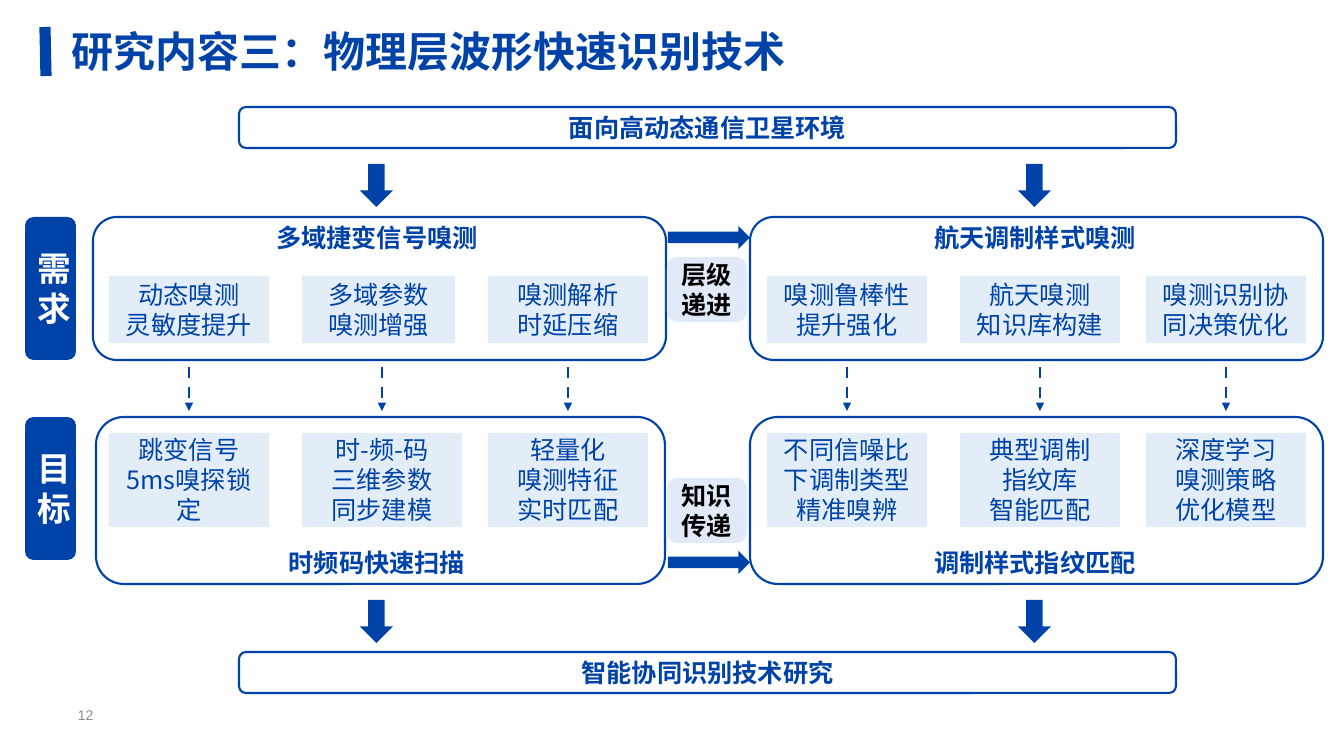
import pptx
import pptx.dml.color
import pptx.enum.dml
import pptx.enum.shapes
import pptx.enum.text
import pptx.oxml
import pptx.util
from dataclasses import dataclass
from lxml import etree

SHAPES = pptx.enum.shapes.MSO_SHAPE
ALIGN = pptx.enum.text.PP_ALIGN
DRAWING = "{http://schemas.openxmlformats.org/drawingml/2006/main}"
EMU_PER_PX = 914400 / 100.8


@dataclass(frozen=True)
class Theme:
    blue: str = "0043A8"
    card: str = "E2EDF7"
    tag: str = "E1EAF9"
    black: str = "000000"
    white: str = "FFFFFF"
    grey: str = "8C8C8C"
    cjk: str = "Noto Sans CJK SC"
    latin: str = "Arial"
    title: int = 30
    label: int = 24
    body: int = 18
    number: int = 10
    line_ratio: float = 1.19


THEME = Theme()

# The right half repeats the left half, moved by SIDE_STEP
SIDE_STEP = 658
CARD_LEFTS = (109, 302, 488)
CARD_WIDTH = 160

# Each row: label, its top, panel top and height, heading top, card top and height
ROWS = (
    ("需求", 217, 143, 217, 276, 67),
    ("目标", 417, 167, 542, 433, 94),
)
# Each panel: left, width, heading, card texts, card widths
PANELS = (
    (
        (93, 573, "多域捷变信号嗅测",
         ("动态嗅测\n灵敏度提升", "多域参数\n嗅测增强", "嗅测解析\n时延压缩"),
         (CARD_WIDTH, 153, CARD_WIDTH)),
        (750, 573, "航天调制样式嗅测",
         ("嗅测鲁棒性提升强化", "航天嗅测\n知识库构建", "嗅测识别协同决策优化"),
         (CARD_WIDTH,) * 3),
    ),
    (
        (96, 569, "时频码快速扫描",
         ("跳变信号5ms嗅探锁定", "时-频-码\n三维参数\n同步建模", "轻量化\n嗅测特征\n实时匹配"),
         (CARD_WIDTH,) * 3),
        (750, 573, "调制样式指纹匹配",
         ("不同信噪比\n下调制类型\n精准嗅辨", "典型调制\n指纹库\n智能匹配", "深度学习\n嗅测策略\n优化模型"),
         (CARD_WIDTH,) * 3),
    ),
)


def px(length):
    return pptx.util.Emu(round(length * EMU_PER_PX))


def color(value):
    return pptx.dml.color.RGBColor.from_string(value)


def write(shape, text, size, ink, bold=False, font=THEME.cjk, align=ALIGN.CENTER, tight=False):
    """Fill a shape with text; tight sets an exact line height for wrapped text."""
    frame = shape.text_frame
    frame.word_wrap = True
    frame.auto_size = pptx.enum.text.MSO_AUTO_SIZE.NONE
    frame.vertical_anchor = pptx.enum.text.MSO_ANCHOR.MIDDLE
    for index, line in enumerate(text.split("\n")):
        paragraph = frame.add_paragraph() if index else frame.paragraphs[0]
        paragraph.alignment = align
        if tight:
            paragraph.line_spacing = pptx.util.Pt(size * THEME.line_ratio)
        run = paragraph.add_run()
        run.text = line
        run.font.size = pptx.util.Pt(size)
        run.font.bold = bold
        run.font.color.rgb = color(ink)
        run.font.name = font
        east_asian = etree.Element(DRAWING + "ea", typeface=THEME.cjk)
        run.font._element.find(DRAWING + "latin").addnext(east_asian)


def add_box(slide, kind, left, top, width, height, fill=None, outline=None):
    shape = slide.shapes.add_shape(kind, px(left), px(top), px(width), px(height))
    shape.shadow.inherit = False
    if fill:
        shape.fill.solid()
        shape.fill.fore_color.rgb = color(fill)
    else:
        shape.fill.background()
    if outline:
        shape.line.color.rgb = color(outline)
        shape.line.width = pptx.util.Pt(1.5)
    else:
        shape.line.fill.background()
    return shape


def add_text(slide, left, top, width, height, text, size, ink, **style):
    box = slide.shapes.add_textbox(px(left), px(top), px(width), px(height))
    write(box, text, size, ink, **style)


def add_line(slide, start, end, width, dashed_arrow=False):
    line = slide.shapes.add_connector(
        pptx.enum.shapes.MSO_CONNECTOR.STRAIGHT, *map(px, start + end))
    line.line.color.rgb = color(THEME.blue)
    line.line.width = pptx.util.Pt(width)
    if dashed_arrow:
        line.line.dash_style = pptx.enum.dml.MSO_LINE.DASH
        outline = line.line._get_or_add_ln()
        etree.SubElement(outline, DRAWING + "tailEnd", type="triangle")
    etree.SubElement(line._element.spPr, DRAWING + "effectLst")


def add_title(slide, text):
    title = slide.shapes.title
    title.left, title.top, title.width, title.height = map(px, (72, 9, 793, 84))
    frame = title.text_frame
    frame.margin_left = frame.margin_right = frame.margin_top = frame.margin_bottom = 0
    write(title, text, THEME.title, THEME.blue, bold=True, align=ALIGN.LEFT)
    add_line(slide, (45, 27), (46, 76), 8)


def add_bar(slide, top, text):
    bar = add_box(slide, SHAPES.ROUNDED_RECTANGLE, 239, top, 937, 41, outline=THEME.blue)
    write(bar, text, THEME.body, THEME.blue, bold=True)


def add_panel(slide, side, row, panel):
    _, top, height, heading_top, card_top, card_height = row
    left, width, heading, cards, card_widths = panel
    shift = side * SIDE_STEP
    add_box(slide, SHAPES.ROUNDED_RECTANGLE, left, top, width, height, outline=THEME.blue)
    add_text(slide, 185 + shift, heading_top, 384, 40, heading,
             THEME.body, THEME.blue, bold=True)
    for card_left, card_width, text in zip(CARD_LEFTS, card_widths, cards):
        card = add_box(slide, SHAPES.RECTANGLE, card_left + shift, card_top,
                       card_width, card_height, fill=THEME.card)
        write(card, text, THEME.body, THEME.blue, tight=True)


def add_label(slide, row):
    label = add_box(slide, SHAPES.ROUNDED_RECTANGLE, 25, row[1], 51, 143, fill=THEME.blue)
    write(label, row[0], THEME.label, THEME.white, bold=True, font=THEME.latin, tight=True)


def add_link(slide, arrow_top, tag_top, text):
    add_box(slide, SHAPES.RIGHT_ARROW, 668, arrow_top, 82, 23, fill=THEME.blue)
    tag = add_box(slide, SHAPES.ROUNDED_RECTANGLE, 667, tag_top, 80, 65, fill=THEME.tag)
    write(tag, text, THEME.body, THEME.black, bold=True, font=THEME.latin, tight=True)


def add_flow_arrows(slide, side):
    shift = side * SIDE_STEP
    for top in (164, 600):
        add_box(slide, SHAPES.DOWN_ARROW, 360 + shift, top, 33, 43, fill=THEME.blue)
    for card_left in CARD_LEFTS:
        center = card_left + CARD_WIDTH // 2 + shift
        add_line(slide, (center, 367), (center, 411), 2, dashed_arrow=True)


def main():
    presentation = pptx.Presentation()
    presentation.slide_width, presentation.slide_height = px(1344), px(756)
    slide = presentation.slides.add_slide(presentation.slide_layouts[5])

    # Title and slide number
    add_title(slide, "研究内容三：物理层波形快速识别技术")
    add_text(slide, 68, 697, 297, 35, "12", THEME.number, THEME.grey,
             font=THEME.latin, align=ALIGN.LEFT)

    # Starting point and result
    add_bar(slide, 107, "面向高动态通信卫星环境")
    add_bar(slide, 652, "智能协同识别技术研究")

    # Requirement and goal rows
    for row, panels in zip(ROWS, PANELS):
        add_label(slide, row)
        for side, panel in enumerate(panels):
            add_panel(slide, side, row, panel)

    # Arrows down each side and links between the sides
    for side in range(2):
        add_flow_arrows(slide, side)
    add_link(slide, 226, 257, "层级递进")
    add_link(slide, 551, 478, "知识传递")

    presentation.save("out.pptx")


if __name__ == "__main__":
    main()
